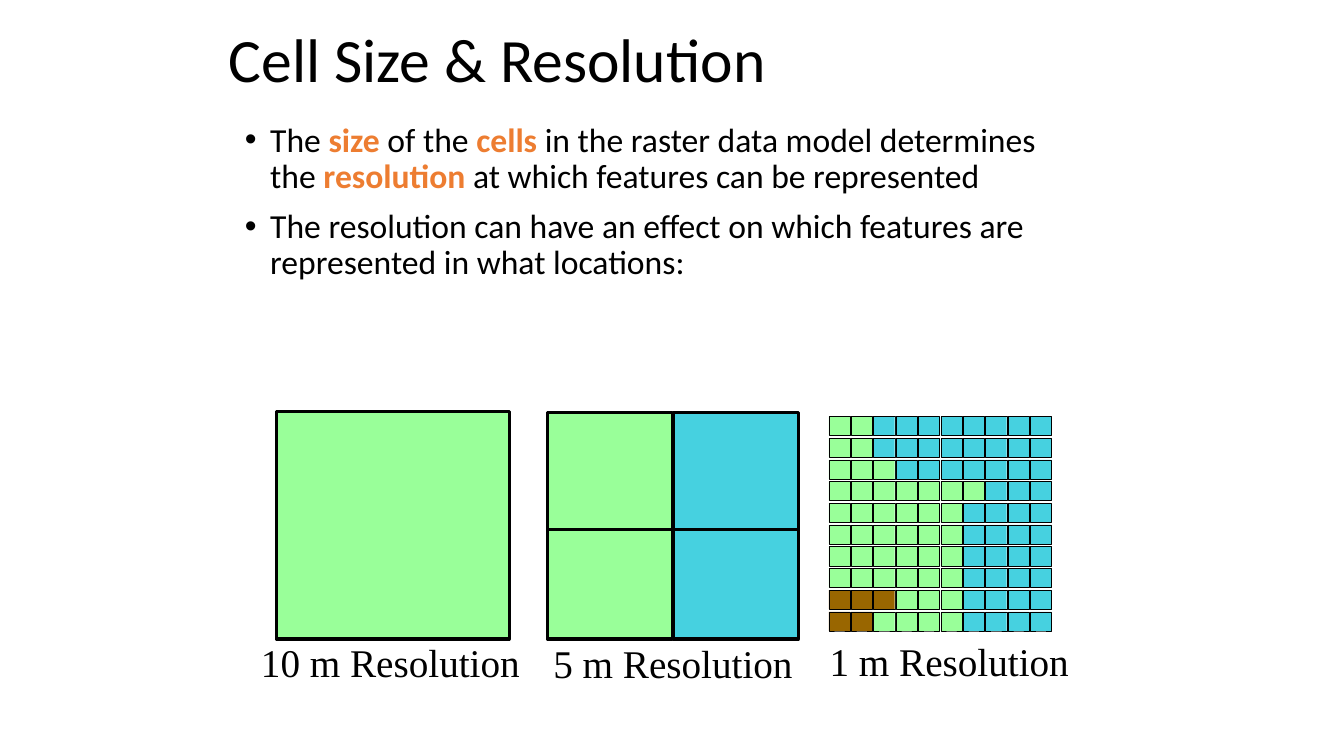
from lxml.etree import SubElement
from pptx import Presentation
from pptx.dml.color import RGBColor
from pptx.enum.shapes import MSO_SHAPE
from pptx.enum.text import MSO_ANCHOR, MSO_AUTO_SIZE, PP_ALIGN
from pptx.oxml.ns import qn
from pptx.util import Inches, Pt

COLORS = {
    "text": "000000",
    "accent": "ED7D31",
    "G": "99FF99",
    "B": "46D1E0",
    "N": "996600",
}

BULLETS = [
    ["The ", "*size", " of the ", "*cells",
     " in the raster data model determines the ", "*resolution",
     " at which features can be represented"],
    ["The resolution can have an effect on which features are "
     "represented in what locations:"],
]

# One letter per cell: G green, B blue, N brown
FINE = (["GG" + "B" * 8] * 2
        + ["GGG" + "B" * 7, "G" * 7 + "BBB"]
        + ["G" * 6 + "BBBB"] * 4
        + ["NNNGGGBBBB", "NNGGGGBBBB"])


def rgb(name):
    return RGBColor.from_string(COLORS[name])


def write(par, text, size=24, font="Calibri", color="text", bold=False):
    run = par.add_run()
    run.text = text
    run.font.size = Pt(size)
    run.font.name = font
    run.font.bold = bold
    run.font.color.rgb = rgb(color)


def place(shape, left, top, width, height):
    shape.left, shape.top = Inches(left), Inches(top)
    shape.width, shape.height = Inches(width), Inches(height)


def add_title(slide, text):
    title = slide.shapes.title
    place(title, 2.17, 0, 9, 1.25)
    frame = title.text_frame
    frame.auto_size = MSO_AUTO_SIZE.NONE
    frame.vertical_anchor = MSO_ANCHOR.MIDDLE
    par = frame.paragraphs[0]
    par.alignment = PP_ALIGN.LEFT
    par.line_spacing = 0.9
    write(par, text, size=44)


def add_bullets(slide, items):
    """Fill the body; a piece that starts with * is emphasised."""
    body = slide.placeholders[1]
    place(body, 2.33, 1.17, 8.5, 3)
    frame = body.text_frame
    frame.auto_size = MSO_AUTO_SIZE.NONE
    for i, pieces in enumerate(items):
        par = frame.add_paragraph() if i else frame.paragraphs[0]
        props = par._p.get_or_add_pPr()
        props.set("marL", str(Inches(0.25)))
        props.set("indent", str(-Inches(0.25)))
        SubElement(props, qn("a:buFont"), typeface="Arial")
        SubElement(props, qn("a:buChar"), char="•")
        par.line_spacing = 0.9
        par.space_before = Pt(10 if i else 0)
        for piece in pieces:
            strong = piece.startswith("*")
            write(par, piece.lstrip("*"), bold=strong,
                  color="accent" if strong else "text")


def add_cell(group, box, color, line):
    cell = group.shapes.add_shape(MSO_SHAPE.RECTANGLE, *map(Inches, box))
    cell.shadow.inherit = False
    cell.fill.solid()
    cell.fill.fore_color.rgb = rgb(color)
    cell.line.color.rgb = rgb("text")
    cell.line.width = Pt(line)


def add_label(group, text, box):
    label = group.shapes.add_textbox(*map(Inches, box))
    frame = label.text_frame
    frame.word_wrap = False
    frame.auto_size = MSO_AUTO_SIZE.SHAPE_TO_FIT_TEXT
    write(frame.paragraphs[0], text, size=28, font="Times New Roman")


def add_raster(slide, rows, start, cell, pitch, line, label, box):
    """Draw a labelled grid, bottom row first so upper cells lie on top."""
    group = slide.shapes.add_group_shape()
    for r, row in reversed(list(enumerate(rows))):
        for c, color in enumerate(row):
            spot = (start[0] + c * pitch[0], start[1] + r * pitch[1])
            add_cell(group, spot + cell, color, line)
    add_label(group, label, box)


def main():
    deck = Presentation()
    deck.slide_width, deck.slide_height = Inches(13.33), Inches(7.5)
    slide = deck.slides.add_slide(deck.slide_layouts[1])
    add_title(slide, "Cell Size & Resolution")
    add_bullets(slide, BULLETS)
    add_raster(slide, ["G"], (2.74, 4.08), (2.31, 2.26), (0, 0), 2.25,
               "10 m Resolution", (2.49, 6.28, 2.77, 0.57))
    add_raster(slide, FINE, (8.22, 4.13), (0.21, 0.19), (2 / 9, 1.94 / 9),
               0.25, "1 m Resolution", (8.13, 6.27, 2.57, 0.57))
    add_raster(slide, ["GB"] * 2, (5.43, 4.09), (1.24, 1.16), (1.25, 1.09),
               2.25, "5 m Resolution", (5.39, 6.29, 2.57, 0.57))
    deck.save("out.pptx")


if __name__ == "__main__":
    main()
